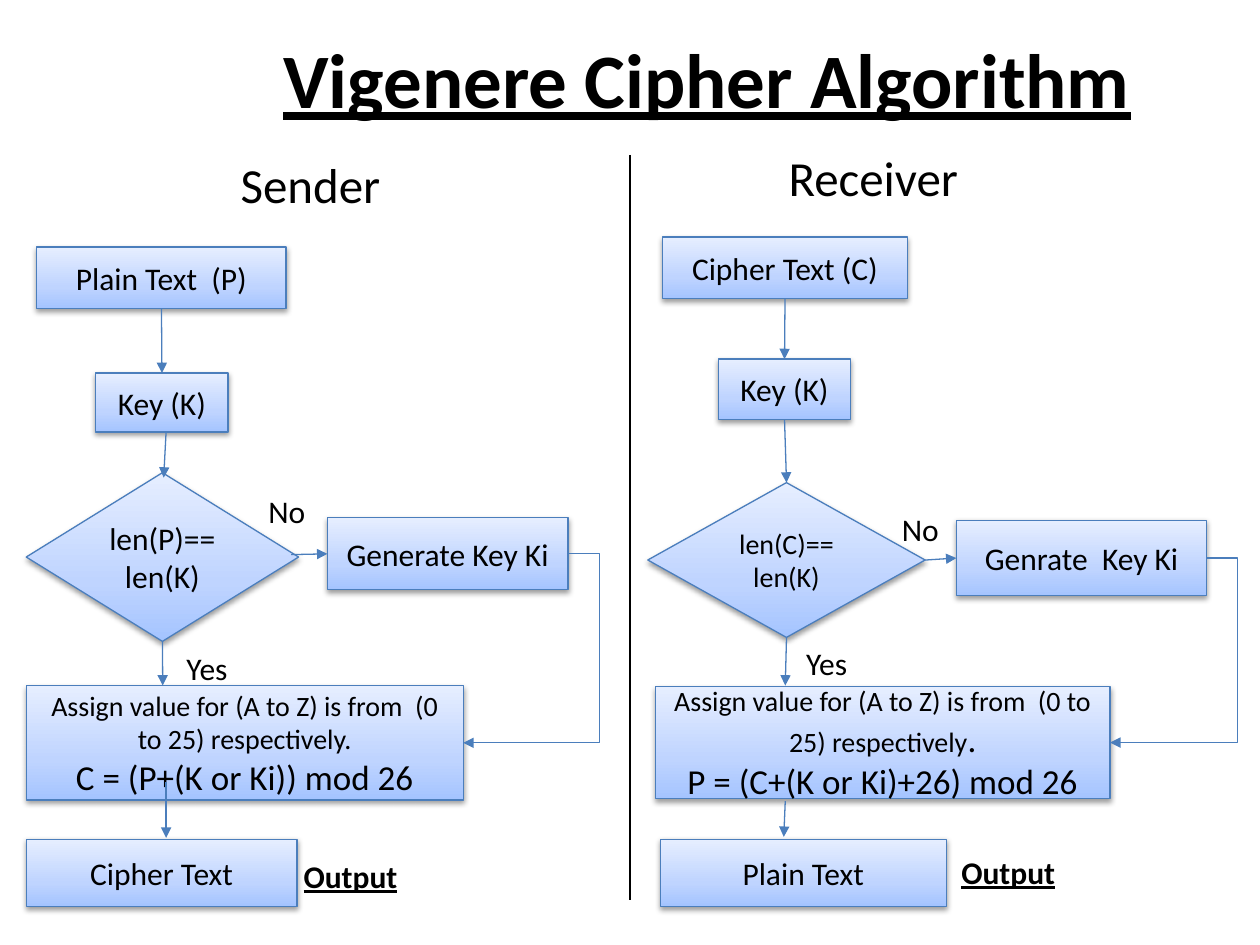
from copy import deepcopy

from lxml.etree import SubElement
from pptx import Presentation
from pptx.dml.color import RGBColor
from pptx.enum.shapes import MSO_CONNECTOR as Link, MSO_SHAPE as Shape
from pptx.enum.text import MSO_ANCHOR as Anchor, MSO_AUTO_SIZE as AutoSize, PP_ALIGN as Align
from pptx.oxml.ns import qn
from pptx.util import Cm, Pt

BLACK = RGBColor(0x00, 0x00, 0x00)
EDGE = RGBColor(0x4B, 0x7E, 0xBC)
GRADIENT = {0: RGBColor(0xA4, 0xC4, 0xFF), 0.35: RGBColor(0xBF, 0xD4, 0xFF), 1: RGBColor(0xE6, 0xEE, 0xFF)}
BODY = {"name": "Calibri", "size": Pt(18)}
HEADING = {**BODY, "size": Pt(28)}
RESULT = {**BODY, "bold": True, "underline": True}
TITLE = {**RESULT, "size": Pt(44)}
TOP, RIGHT, BOTTOM, LEFT = 0, 3, 2, 1

SENDER = {
    "nodes": {
        "input": ((0.21, 2.18, 5.03, 1.24), [[("Plain Text  (P)", 18)]]),
        "key": ((1.4, 4.72, 2.67, 1.19), [[("Key (K)", 18)]]),
        "test": ((0, 6.73, 5.49, 3.4), [[("len(P)==", 18)], [("len(K)", 18)]]),
        "assign": ((0, 11.02, 8.81, 2.31), [
            [("Assign value for (A to Z) is from  (0 to 25) respectively.", 16)],
            [("C = (P+(K or Ki)) mod 26", 20)]]),
        "output": ((0, 14.12, 5.46, 1.35), [[("Cipher Text", 18)]]),
        "generate": ((6.07, 7.64, 4.85, 1.45), [[("Generate Key Ki", 18)]]),
    },
    "arrows": [
        (("input", BOTTOM), ("key", TOP)),
        ((2.82, 5.89), (2.77, 6.83)),
        (("test", BOTTOM), (2.75, 11.02)),
        ((5.34, 8.38), ("generate", LEFT)),
        ((2.82, 12.97), (2.82, 14.09)),
    ],
    "bend": -30100,
    "labels": [
        ("Sender", (4.07, 0.2, 5.23, 1.45), HEADING),
        ("Output", (5.34, 14.35, 7.34, 1.02), RESULT),
        ("No", (4.63, 7, 2.77, 1.02), BODY),
        ("Yes", (2.98, 10.15, 2.77, 1.02), BODY),
    ],
}
RECEIVER = {
    "nodes": {
        "input": ((0.3, 1.98, 4.93, 1.24), [[("Cipher Text (C)", 18)]]),
        "key": ((1.42, 4.44, 2.67, 1.22), [[("Key (K)", 18)]]),
        "test": ((0, 6.93, 5.59, 3.12), [[("len(C)==", 16)], [("len(K)", 16)]]),
        "assign": ((0.15, 11.04, 9.17, 2.26), [
            [("Assign value for (A to Z) is from  (0 to 25) respectively", 16), (".", 20)],
            [("P = (C+(K or Ki)+26) mod 26", 20)]]),
        "output": ((0.25, 14.12, 5.77, 1.35), [[("Plain Text", 18)]]),
        "generate": ((6.22, 7.69, 5.05, 1.52), [[("Genrate  Key Ki", 18)]]),
    },
    "arrows": [
        (("input", BOTTOM), ("key", TOP)),
        (("key", BOTTOM), ("test", TOP)),
        (("test", BOTTOM), (2.77, 11.02)),
        (("test", RIGHT), ("generate", LEFT)),
        ((2.77, 13.35), (2.74, 14.07)),
    ],
    "bend": -31900,
    "labels": [
        ("Receiver", (2.59, 0.04, 5.23, 1.45), HEADING),
        ("Output", (6.07, 14.27, 7.34, 1.02), RESULT),
        ("No", (4.87, 7.36, 2.77, 1.02), BODY),
        ("Yes", (2.94, 10.05, 2.77, 1.02), BODY),
    ],
}


def place(origin, box):
    """Turn a box relative to an origin into slide lengths."""
    left, top, width, height = box
    return Cm(origin[0] + left), Cm(origin[1] + top), Cm(width), Cm(height)


def format_font(font, values):
    """Set font attributes and the black text colour."""
    for name, value in values.items():
        setattr(font, name, value)
    font.color.rgb = BLACK


def add_title(slide, text, box):
    """Move and format the title placeholder."""
    title = slide.shapes.title
    title.left, title.top, title.width, title.height = place((0, 0), box)
    frame = title.text_frame
    frame.text = text
    frame.vertical_anchor = Anchor.MIDDLE
    paragraph = frame.paragraphs[0]
    paragraph.alignment = Align.CENTER
    format_font(paragraph.runs[0].font, TITLE)


def add_label(slide, origin, text, box, values):
    """Add a plain text label."""
    frame = slide.shapes.add_textbox(*place(origin, box)).text_frame
    frame.word_wrap = True
    frame.auto_size = AutoSize.SHAPE_TO_FIT_TEXT
    frame.text = text
    format_font(frame.paragraphs[0].runs[0].font, values)


def style_node(shape):
    """Give a flowchart node its gradient, outline and shadow."""
    shape.fill.gradient()
    shape.fill.gradient_angle = 90
    stop_list = next(shape._element.iter(qn("a:gsLst")))
    stop_list.append(deepcopy(stop_list[0]))
    for stop, (position, color) in zip(shape.fill.gradient_stops, GRADIENT.items()):
        stop.position = position
        stop.color.rgb = color
    shape.line.color.rgb = EDGE
    shape.line.width = Pt(0.75)
    shape.shadow.inherit = False
    effects = next(shape._element.iter(qn("a:effectLst")))
    shadow = SubElement(effects, qn("a:outerShdw"), blurRad="40000", dist="20000", dir="5400000", rotWithShape="0")
    color = SubElement(shadow, qn("a:srgbClr"), val=str(BLACK))
    SubElement(color, qn("a:alpha"), val="38000")


def add_node(slide, origin, kind, box, lines):
    """Add a flowchart node with centred lines of sized runs."""
    shape = slide.shapes.add_shape(kind, *place(origin, box))
    style_node(shape)
    frame = shape.text_frame
    frame.word_wrap = True
    frame.vertical_anchor = Anchor.MIDDLE
    for index, runs in enumerate(lines):
        paragraph = frame.add_paragraph() if index else frame.paragraphs[0]
        paragraph.alignment = Align.CENTER
        for text, size in runs:
            run = paragraph.add_run()
            run.text = text
            format_font(run.font, {**BODY, "size": Pt(size)})
    return shape


def add_line(slide, origin, start, end, nodes, kind=Link.STRAIGHT, color=EDGE, arrow=True):
    """Add a connector whose ends are points or (node, side) pairs."""
    points = [(0, 0) if end_point[0] in nodes else end_point for end_point in (start, end)]
    lengths = [Cm(base + offset) for point in points for base, offset in zip(origin, point)]
    connector = slide.shapes.add_connector(kind, *lengths)
    for end_point, connect in ((start, connector.begin_connect), (end, connector.end_connect)):
        if end_point[0] in nodes:
            connect(nodes[end_point[0]], end_point[1])
    connector.line.color.rgb = color
    connector.line.width = Pt(0.75)
    if arrow:
        SubElement(connector.line._get_or_add_ln(), qn("a:tailEnd"), type="triangle")
    SubElement(connector._element.spPr, qn("a:effectLst"))
    return connector


def add_flow(slide, origin, flow):
    """Draw one side's flowchart from its top left corner."""
    nodes = {}
    for name, (box, lines) in flow["nodes"].items():
        kind = Shape.DIAMOND if name == "test" else Shape.RECTANGLE
        nodes[name] = add_node(slide, origin, kind, box, lines)
    for start, end in flow["arrows"]:
        add_line(slide, origin, start, end, nodes)
    elbow = add_line(slide, origin, ("generate", RIGHT), ("assign", RIGHT), nodes, Link.ELBOW)
    guides = next(elbow._element.iter(qn("a:avLst")))
    SubElement(guides, qn("a:gd"), name="adj1", fmla=f"val {flow['bend']}")
    for label in flow["labels"]:
        add_label(slide, origin, *label)


def main():
    """Build and save the slide."""
    presentation = Presentation()
    presentation.slide_width, presentation.slide_height = Cm(25.4), Cm(19.05)
    slide = presentation.slides.add_slide(presentation.slide_layouts[5])
    add_title(slide, "Vigenere Cipher Algorithm", (3.12, 0, 22.28, 3.12))
    add_flow(slide, (0.53, 2.8), SENDER)
    add_flow(slide, (13.06, 2.8), RECEIVER)
    add_line(slide, (12.7, 3.12), (0, 0), (0, 15.02), {}, color=BLACK, arrow=False)
    presentation.save("out.pptx")


if __name__ == "__main__":
    main()
